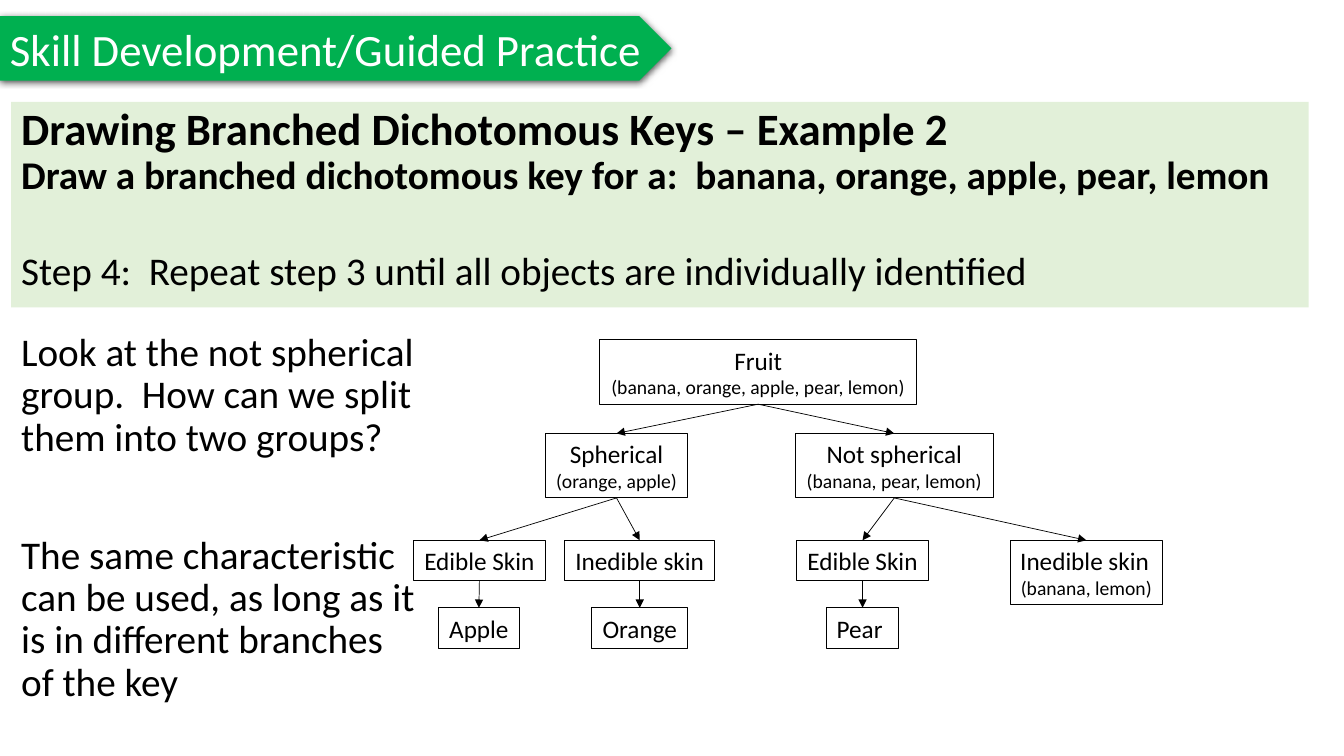
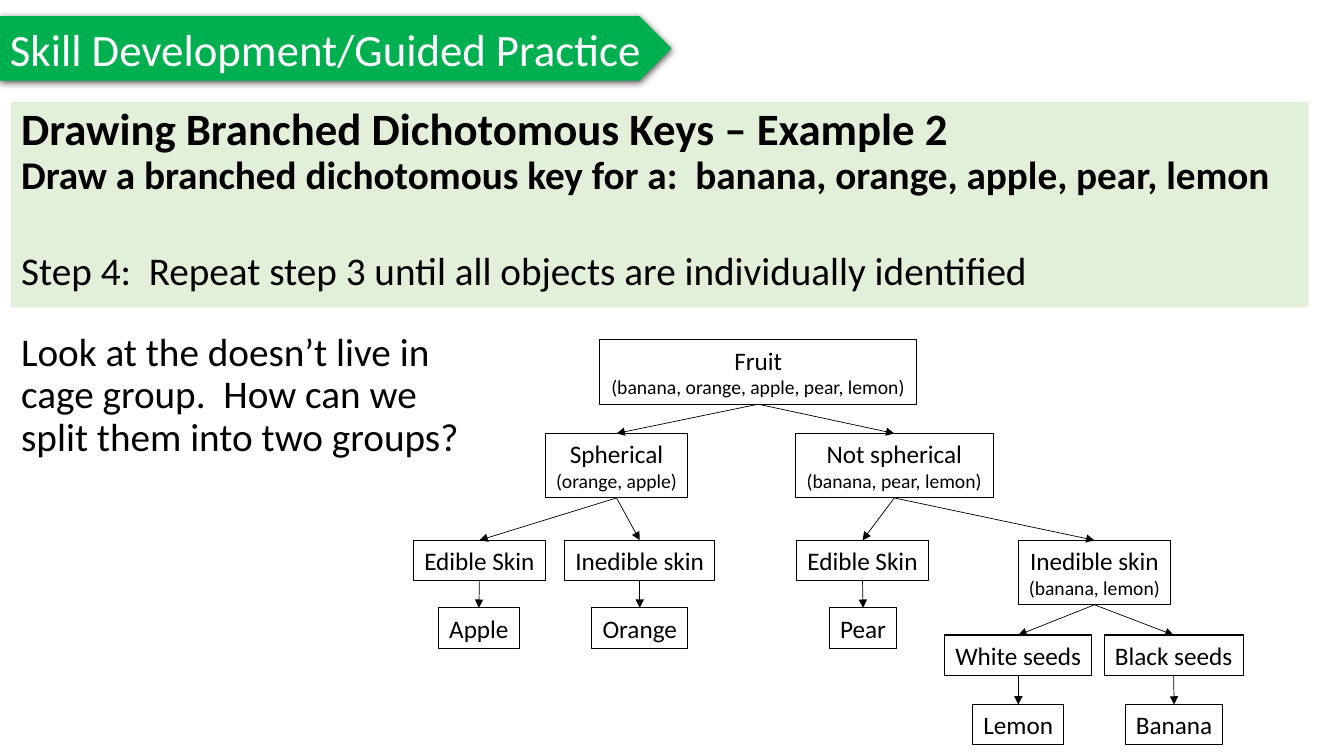
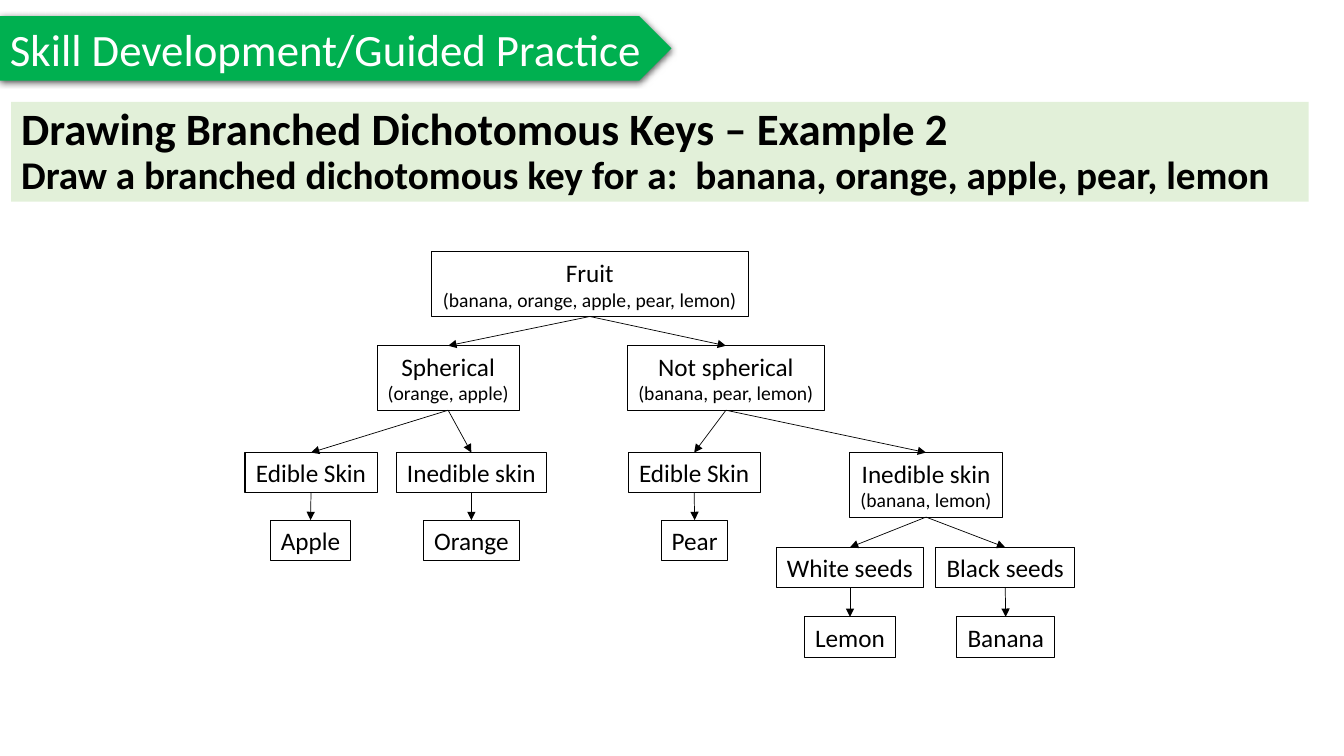
from lxml import etree
from pptx import Presentation
from pptx.dml.color import RGBColor
from pptx.enum.shapes import MSO_CONNECTOR, MSO_SHAPE
from pptx.enum.text import MSO_ANCHOR, MSO_AUTO_SIZE, PP_ALIGN
from pptx.oxml import parse_xml
from pptx.oxml.ns import nsdecls, qn
from pptx.util import Inches, Pt

LEFT, CENTER = PP_ALIGN.LEFT, PP_ALIGN.CENTER
TOP, MIDDLE = MSO_ANCHOR.TOP, MSO_ANCHOR.MIDDLE
NO_AUTOFIT = MSO_AUTO_SIZE.NONE
PENTAGON, RECTANGLE = MSO_SHAPE.PENTAGON, MSO_SHAPE.RECTANGLE
STRAIGHT = MSO_CONNECTOR.STRAIGHT

GREEN = RGBColor(0x00, 0xB0, 0x50)
PALE_GREEN = RGBColor(0xE2, 0xF0, 0xD9)
BLACK = RGBColor(0x00, 0x00, 0x00)
WHITE = RGBColor(0xFF, 0xFF, 0xFF)
FONT = "Calibri"

BOTTOM_SITE, TOP_SITE = 2, 0
LABEL_HEIGHT, DETAIL_HEIGHT = 0.4, 0.64
TITLE_AND_CONTENT, TITLE_ONLY = 1, 5

SHADOW = (
    f'<a:outerShdw {nsdecls("a")} blurRad="{Pt(4.5)}" dist="{Pt(1.5)}" dir="5400000" '
    'algn="t" rotWithShape="0"><a:srgbClr val="000000"><a:alpha val="63000"/>'
    "</a:srgbClr></a:outerShdw>"
)

HEADING = "Drawing Branched Dichotomous Keys – Example 2"
TASK = "Draw a branched dichotomous key for a:  banana, orange, apple, pear, lemon"
STEP = "Step 4:  Repeat step 3 until all objects are individually identified"

BASE_NODES = {
    "fruit": (5.95, 3.37, 3.14, "Fruit", "(banana, orange, apple, pear, lemon)"),
    "spherical": (5.41, 4.3, 1.41, "Spherical", "(orange, apple)"),
    "not spherical": (7.89, 4.3, 1.96, "Not spherical", "(banana, pear, lemon)"),
    "round edible": (4.1, 5.36, 1.31, "Edible Skin", ""),
    "round inedible": (5.6, 5.36, 1.49, "Inedible skin", ""),
    "apple": (4.35, 6.03, 0.8, "Apple", ""),
    "orange": (5.87, 6.03, 0.95, "Orange", ""),
    "long edible": (7.9, 5.36, 1.31, "Edible Skin", ""),
    "long inedible": (10.1, 5.36, 1.51, "Inedible skin", "(banana, lemon)"),
    "pear": (8.23, 6.03, 0.66, "Pear", ""),
}
SEED_NODES = {
    "white": (9.37, 6.3, 1.46, "White seeds", ""),
    "black": (10.95, 6.3, 1.38, "Black seeds", ""),
    "lemon": (9.65, 6.99, 0.9, "Lemon", ""),
    "banana": (11.16, 6.99, 0.97, "Banana", ""),
}
FIRST_NODES = BASE_NODES | {
    "long inedible": (10.02, 5.36, 1.51, "Inedible skin", "(banana, lemon)"),
    "pear": (8.2, 6.03, 0.71, "Pear", ""),
}
FULL_NODES = BASE_NODES | SEED_NODES
LEFT_LABELS = {"long inedible", "pear"}
BRANCHES = [
    ("fruit", "spherical"), ("fruit", "not spherical"),
    ("spherical", "round edible"), ("spherical", "round inedible"),
    ("round edible", "apple"), ("round inedible", "orange"),
    ("not spherical", "long edible"), ("not spherical", "long inedible"),
    ("long edible", "pear"),
    ("long inedible", "white"), ("long inedible", "black"),
    ("white", "lemon"), ("black", "banana"),
]

SLIDES = [
    {
        "questions": [
            "Look at the not spherical group.  How can we split them into two groups?",
            "The same characteristic can be used, as long as it is in different branches of the key",
        ],
        "question_size": (4.13, 4.14),
        "step": STEP, "panel_height": 2.04,
        "nodes": FIRST_NODES, "left_labels": LEFT_LABELS, "shift": (0, 0),
    },
    {
        "questions": [
            "Look at the doesn’t live in cage group.  How can we split them into two groups?",
        ],
        "question_size": (4.61, 2.5),
        "step": STEP, "panel_height": 2.04,
        "nodes": FULL_NODES, "left_labels": set(), "shift": (0, 0),
    },
    {
        "questions": [],
        "step": "", "panel_height": 0.99,
        "nodes": FULL_NODES, "left_labels": set(), "shift": (-1.67, -0.87),
    },
]


def add_text(frame, text, size=18, color=BLACK, bold=False, align=LEFT,
             line_spacing=1.0, space_before=0, plain_list=False):
    paragraph = frame.add_paragraph() if frame.text else frame.paragraphs[0]
    if plain_list:
        properties = paragraph._p.get_or_add_pPr()
        properties.set("marL", "0")
        properties.set("indent", "0")
        etree.SubElement(properties, qn("a:buNone"))
    paragraph.alignment = align
    paragraph.line_spacing = line_spacing
    paragraph.space_before = Pt(space_before)
    paragraph.space_after = Pt(0)
    run = paragraph.add_run()
    run.text = text
    run.font.name = FONT
    run.font.size = Pt(size)
    run.font.bold = bold
    run.font.color.rgb = color


def place(shape, left, top, width, height, anchor, wrap):
    shape.left, shape.top = Inches(left), Inches(top)
    shape.width, shape.height = Inches(width), Inches(height)
    frame = shape.text_frame
    frame.auto_size = NO_AUTOFIT
    frame.vertical_anchor = anchor
    frame.word_wrap = wrap
    return frame


presentation = Presentation()
presentation.slide_width = Inches(13.33)
presentation.slide_height = Inches(7.5)

for content in SLIDES:
    layout = TITLE_AND_CONTENT if content["questions"] else TITLE_ONLY
    slide = presentation.slides.add_slide(presentation.slide_layouts[layout])
    shapes = slide.shapes

    banner = shapes.add_shape(PENTAGON, 0, 0, 0, 0)
    banner_frame = place(banner, 0, 0.16, 6.66, 0.64, MIDDLE, False)
    banner.fill.solid()
    banner.fill.fore_color.rgb = GREEN
    banner.line.fill.background()
    banner.shadow.inherit = False
    banner._element.spPr.find(qn("a:effectLst")).append(parse_xml(SHADOW))
    add_text(banner_frame, "Skill Development/Guided Practice", size=32, color=WHITE)

    panel = shapes.title
    panel_frame = place(panel, 0.11, 1.01, 12.87, content["panel_height"], TOP, True)
    panel.fill.solid()
    panel.fill.fore_color.rgb = PALE_GREEN
    add_text(panel_frame, HEADING, size=32, bold=True, line_spacing=0.9)
    add_text(panel_frame, TASK, size=28, bold=True, line_spacing=0.9)
    if content["step"]:
        add_text(panel_frame, content["step"], size=28, space_before=35)

    if content["questions"]:
        width, height = content["question_size"]
        question_frame = place(slide.placeholders[1], 0.11, 3.25, width, height, TOP, True)
        for index, question in enumerate(content["questions"]):
            add_text(question_frame, question, size=28, line_spacing=0.9,
                     space_before=54 if index else 0, plain_list=True)

    shift_x, shift_y = content["shift"]
    boxes = {}
    for name, (left, top, width, label, detail) in content["nodes"].items():
        box = shapes.add_shape(RECTANGLE, 0, 0, 0, 0)
        height = DETAIL_HEIGHT if detail else LABEL_HEIGHT
        box_frame = place(box, left + shift_x, top + shift_y, width, height, MIDDLE, False)
        box.fill.background()
        box.line.color.rgb = BLACK
        box.line.width = Pt(0.75)
        box.shadow.inherit = False
        align = LEFT if name in content["left_labels"] else CENTER
        add_text(box_frame, label, align=align)
        if detail:
            add_text(box_frame, detail, size=14, align=CENTER)
        boxes[name] = box

    for parent, child in BRANCHES:
        if child not in boxes:
            continue
        arrow = shapes.add_connector(STRAIGHT, 0, 0, 0, 0)
        arrow.begin_connect(boxes[parent], BOTTOM_SITE)
        arrow.end_connect(boxes[child], TOP_SITE)
        arrow.line.color.rgb = BLACK
        arrow.line.width = Pt(0.5)
        etree.SubElement(arrow.line._get_or_add_ln(), qn("a:tailEnd"), type="triangle")
        etree.SubElement(arrow._element.spPr, qn("a:effectLst"))

presentation.save("out.pptx")
